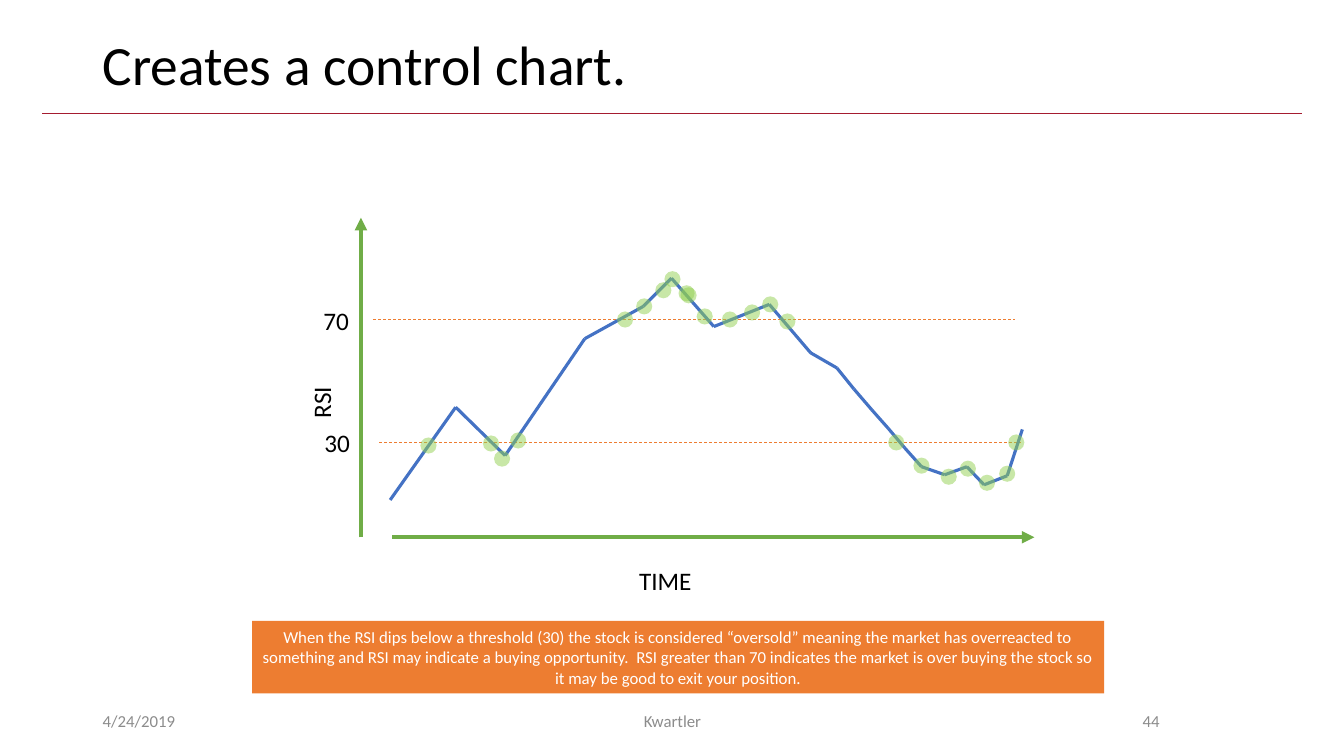
"""Build a slide that shows an RSI control chart with its 30 and 70 thresholds."""
from itertools import pairwise

from lxml import etree
from pptx import Presentation
from pptx.dml.color import RGBColor
from pptx.enum.dml import MSO_LINE
from pptx.enum.shapes import MSO_CONNECTOR, MSO_SHAPE
from pptx.enum.text import MSO_ANCHOR, PP_ALIGN
from pptx.oxml.ns import qn
from pptx.util import Inches, Pt

LEFT, CENTER, RIGHT = PP_ALIGN.LEFT, PP_ALIGN.CENTER, PP_ALIGN.RIGHT
TOP, MIDDLE = MSO_ANCHOR.TOP, MSO_ANCHOR.MIDDLE
STRAIGHT, DASH = MSO_CONNECTOR.STRAIGHT, MSO_LINE.DASH
OVAL, RECT = MSO_SHAPE.OVAL, MSO_SHAPE.RECTANGLE

THEME = {
    "font": "Calibri", "title": 39.6, "label": 18, "small": 12,
    "text": "000000", "muted": "8C8C8C", "white": "FFFFFF",
    "rule": "A51C30", "axis": "70AD47", "threshold": "ED7D31",
    "rsi": "4472C4", "signal": "92D050", "note": "ED7D31",
}

TITLE = ("Creates a control chart.", (0.92, 0.4, 11.5, 0.54))
FOOTERS = [
    ("4/24/2019", (0.92, 6.95, 3, 0.4), LEFT),
    ("Kwartler", (4.42, 6.95, 4.5, 0.4), CENTER),
    ("44", (9.42, 6.95, 2.18, 0.4), RIGHT),
]
LABELS = [
    ("TIME", (6.24, 5.56, 0.73, 0.4), 0),
    ("RSI", (2.9, 3.76, 0.57, 0.4), 270),
    ("70", (3.11, 2.98, 0.46, 0.4), 0),
    ("30", (3.12, 4.19, 0.46, 0.4), 0),
]
NOTE = (
    "When the RSI dips below a threshold (30) the stock is considered “oversold” "
    "meaning the market has overreacted to something and RSI may indicate a buying "
    "opportunity.  RSI greater than 70 indicates the market is over buying the stock "
    "so it may be good to exit your position.",
    (2.5, 6.16, 8.45, 0.72),
)
RULE = ((0.42, 1.12), (12.91, 1.12))
AXES = [((3.89, 5.33), (10.26, 5.33)), ((3.58, 5.33), (3.58, 2.16))]
THRESHOLDS = [((3.7, 3.17), (10.07, 3.17)), ((3.76, 4.39), (10.13, 4.39))]
RSI_POINTS = [
    (3.87, 4.96), (4.52, 4.04), (5.01, 4.52), (5.8, 3.36), (6.38, 3.04),
    (6.66, 2.76), (7.08, 3.24), (7.63, 3.02), (8.04, 3.5), (8.3, 3.65),
    (8.47, 3.86), (8.65, 4.07), (8.81, 4.25), (8.97, 4.44), (9.14, 4.63),
    (9.37, 4.71), (9.59, 4.63), (9.76, 4.81), (9.99, 4.72), (10.14, 4.26),
]
SIGNAL_SIZE = 0.16
SIGNALS = [
    (4.17, 4.34), (4.79, 4.32), (5.06, 4.29), (6.12, 3.09), (6.31, 2.96),
    (6.5, 2.8), (6.59, 2.69), (6.73, 2.83), (6.91, 3.06), (6.75, 2.85),
    (7.16, 3.09), (7.38, 3.02), (7.56, 2.94), (4.9, 4.47), (7.73, 3.11),
    (8.81, 4.31), (9.06, 4.54), (9.33, 4.65), (9.52, 4.57), (9.71, 4.71),
    (9.91, 4.62), (10, 4.31),
]


def color(name):
    return RGBColor.from_string(THEME[name])


def write(sp, text, size="small", ink="text", align=LEFT, anchor=MIDDLE,
          wrap=True, spacing=None):
    tf = sp.text_frame
    tf.word_wrap = wrap
    tf.vertical_anchor = anchor
    p = tf.paragraphs[0]
    p.alignment = align
    if spacing:
        p.line_spacing = spacing
    r = p.add_run()
    r.text = text
    r.font.name = THEME["font"]
    r.font.size = Pt(THEME[size])
    r.font.color.rgb = color(ink)


def add_box(s, box):
    return s.shapes.add_textbox(*map(Inches, box))


def add_line(s, start, end, ink, width, dash=None, arrow=False):
    cx = s.shapes.add_connector(STRAIGHT, *map(Inches, (*start, *end)))
    cx.line.color.rgb = color(ink)
    cx.line.width = Pt(width)
    if dash:
        cx.line.dash_style = dash
    if arrow:
        etree.SubElement(cx.line._get_or_add_ln(), qn("a:tailEnd"), type="triangle")
    etree.SubElement(cx._element.spPr, qn("a:effectLst"))


def add_filled(s, kind, box, fill, alpha=None):
    sp = s.shapes.add_shape(kind, *map(Inches, box))
    sp.shadow.inherit = False
    sp.fill.solid()
    sp.fill.fore_color.rgb = color(fill)
    sp.line.fill.background()
    if alpha:
        rgb = sp._element.spPr.find(qn("a:solidFill"))[0]
        etree.SubElement(rgb, qn("a:alpha"), val=str(alpha * 1000))
    return sp


def main():
    prs = Presentation()
    prs.slide_width, prs.slide_height = Inches(13.33), Inches(7.5)
    s = prs.slides.add_slide(prs.slide_layouts[6])

    add_line(s, *RULE, "rule", 0.5)
    text, box = TITLE
    write(add_box(s, box), text, size="title", spacing=0.9)
    for text, box, align in FOOTERS:
        write(add_box(s, box), text, ink="muted", align=align)

    for axis in AXES:
        add_line(s, *axis, "axis", 3, arrow=True)
    for text, box, turn in LABELS:
        sp = add_box(s, box)
        sp.rotation = turn
        write(sp, text, size="label", anchor=TOP, wrap=False)
    for threshold in THRESHOLDS:
        add_line(s, *threshold, "threshold", 0.5, dash=DASH)
    for start, end in pairwise(RSI_POINTS):
        add_line(s, start, end, "rsi", 2.25)
    for spot in SIGNALS:
        add_filled(s, OVAL, (*spot, SIGNAL_SIZE, SIGNAL_SIZE), "signal", alpha=50)

    text, box = NOTE
    write(add_filled(s, RECT, box, "note"), text, ink="white", align=CENTER)
    prs.save("out.pptx")


if __name__ == "__main__":
    main()
